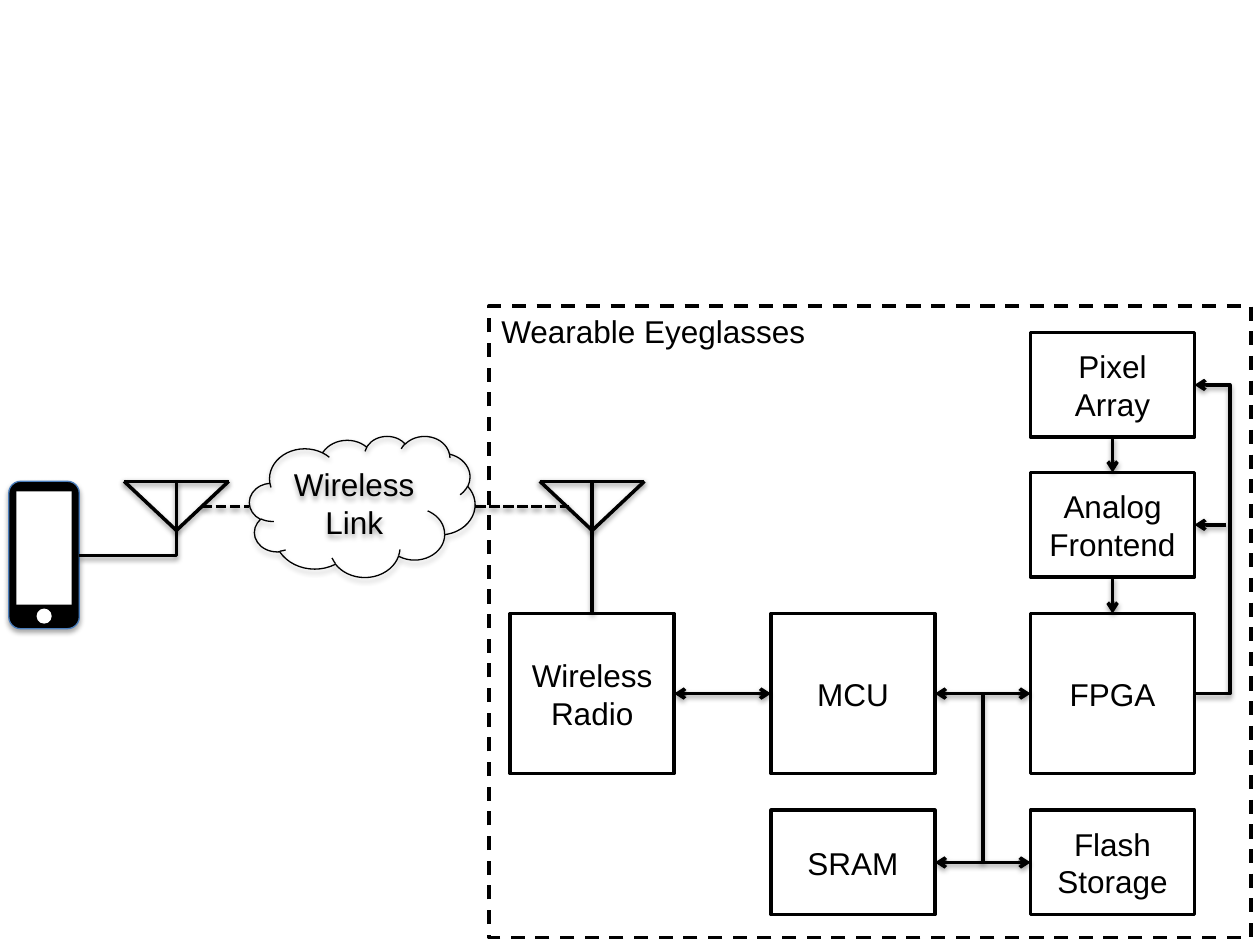
from lxml import etree
from pptx import Presentation, util as u
from pptx.dml.color import RGBColor
from pptx.enum import dml, shapes, text
from pptx.oxml.ns import qn

THEME = {"ink": "000000", "paper": "FFFFFF", "phone_edge": "4B7EBC",
         "font": "Arial", "size": 18, "line": 2, "thin": 0.75}
KIND = shapes.MSO_SHAPE
DASH = dml.MSO_LINE

# Grid: three block columns, five block rows (top, height)
COLUMNS = [4.05, 6.12, 8.18]
BLOCK_WIDTH = 1.3
ROWS = {"pixel": (2.64, 0.83), "analog": (3.75, 0.83),
        "main": (4.87, 1.27), "memory": (6.43, 0.83)}

# Content: column, row, paragraphs
BLOCKS = [
    (0, "main", ["Wireless Radio"]),
    (1, "main", ["MCU"]),
    (2, "main", ["FPGA"]),
    (2, "analog", ["Analog", "Frontend"]),
    (2, "pixel", ["Pixel Array"]),
    (1, "memory", ["SRAM"]),
    (2, "memory", ["Flash Storage"]),
]
ENCLOSURE = (3.88, 2.43, 6.05, 5.01)
CLOUD = (1.98, 3.46, 1.79, 1.12)

presentation = Presentation()
presentation.slide_width, presentation.slide_height = u.Inches(10), u.Inches(7.5)
slide = presentation.slides.add_slide(presentation.slide_layouts[6])


def color(name):
    return RGBColor.from_string(THEME[name])


def add_effects(shape, shadow=None):
    """Shadow is (opacity percent, blur points, distance points), cast downwards."""
    properties = shape._element.spPr
    for old in properties.findall(qn("a:effectLst")):
        properties.remove(old)
    effects = etree.SubElement(properties, qn("a:effectLst"))
    if shadow:
        opacity, blur, distance = shadow
        outer = etree.SubElement(effects, qn("a:outerShdw"), blurRad=str(u.Pt(blur)),
                                 dist=str(u.Pt(distance)), dir="5400000", rotWithShape="0")
        ink = etree.SubElement(outer, qn("a:srgbClr"), val=THEME["ink"])
        etree.SubElement(ink, qn("a:alpha"), val=str(opacity * 1000))


LINE_SHADOW, SHAPE_SHADOW = (38, 3.1, 1.6), (35, 3.1, 1.8)


def set_line(shape, width, dash=None, name="ink"):
    shape.line.color.rgb = color(name)
    shape.line.width = u.Pt(width)
    if dash:
        shape.line.dash_style = dash


def add_box(kind, place, fill="paper", line=None, width=THEME["line"], dash=None,
            shadow=None, paragraphs=(), centred=True):
    shape = slide.shapes.add_shape(kind, *map(u.Inches, place))
    if fill:
        shape.fill.solid()
        shape.fill.fore_color.rgb = color(fill)
    else:
        shape.fill.background()
    if line:
        set_line(shape, width, dash, line)
    else:
        shape.line.fill.background()
    add_effects(shape, shadow)
    frame = shape.text_frame
    frame.word_wrap = True
    frame.vertical_anchor = text.MSO_ANCHOR.MIDDLE if centred else text.MSO_ANCHOR.TOP
    for index, words in enumerate(paragraphs):
        paragraph = frame.add_paragraph() if index else frame.paragraphs[0]
        paragraph.alignment = text.PP_ALIGN.CENTER if centred else text.PP_ALIGN.LEFT
        run = paragraph.add_run()
        run.text = words
        run.font.name, run.font.size = THEME["font"], u.Pt(THEME["size"])
        run.font.color.rgb = color("ink")
    return shape


def add_wire(*points, start=False, end=False, dash=None):
    """Straight connector for two points, open outline for a bent route."""
    route = [(u.Inches(x), u.Inches(y)) for x, y in points]
    if len(route) == 2:
        wire = slide.shapes.add_connector(
            shapes.MSO_CONNECTOR.STRAIGHT, *route[0], *route[1])
    else:
        builder = slide.shapes.build_freeform(*route[0], scale=1.0)
        builder.add_line_segments(route[1:], close=False)
        wire = builder.convert_to_shape()
        wire.fill.background()
    set_line(wire, THEME["line"], dash)
    outline = wire._element.spPr.find(qn("a:ln"))
    for wanted, tag in ((start, "a:headEnd"), (end, "a:tailEnd")):
        if wanted:
            etree.SubElement(outline, qn(tag), type="arrow")
    add_effects(wire, LINE_SHADOW)


def add_antenna(center, top=3.82, half=0.415, tip=4.21):
    left, right = (center - half, top), (center + half, top)
    for start, end in ((left, right), ((center, tip), right), ((center, tip), left)):
        add_wire(start, end)


def middle(row):
    top, height = ROWS[row]
    return top + height / 2


# Enclosure and blocks
add_box(KIND.RECTANGLE, ENCLOSURE, line="ink", dash=DASH.DASH,
        paragraphs=["Wearable Eyeglasses"], centred=False)
for column, row, paragraphs in BLOCKS:
    top, height = ROWS[row]
    add_box(KIND.RECTANGLE, (COLUMNS[column], top, BLOCK_WIDTH, height),
            line="ink", paragraphs=paragraphs)

# Links between neighbouring blocks
right_edges = [left + BLOCK_WIDTH for left in COLUMNS]
main, memory = middle("main"), middle("memory")
for column, y in ((0, main), (1, main), (1, memory)):
    add_wire((right_edges[column], y), (COLUMNS[column + 1], y), start=True, end=True)
sensor_x = COLUMNS[2] + BLOCK_WIDTH / 2
for upper, lower in (("pixel", "analog"), ("analog", "main")):
    add_wire((sensor_x, sum(ROWS[upper])), (sensor_x, ROWS[lower][0]), end=True)

# Memory bus and control feedback
bus_x = (right_edges[1] + COLUMNS[2]) / 2
add_wire((bus_x, main), (bus_x, memory))
feedback_x = 9.76
edge = right_edges[2]
add_wire((edge, middle("pixel")), (feedback_x, middle("pixel")),
         (feedback_x, main), (edge, main), start=True)
add_wire((edge, middle("analog")), (9.73, middle("analog")), start=True)

# Phone
add_box(KIND.ROUNDED_RECTANGLE, (0.07, 3.82, 0.56, 1.17), "ink", "phone_edge",
        THEME["thin"], shadow=SHAPE_SHADOW)
add_box(KIND.RECTANGLE, (0.13, 3.9, 0.44, 0.9))
add_box(KIND.OVAL, (0.29, 4.83, 0.12, 0.12))

# Antennas with their feeds
phone_antenna, radio_antenna = 1.4, COLUMNS[0] + BLOCK_WIDTH / 2
for center in (phone_antenna, radio_antenna):
    add_antenna(center)
add_wire((0.63, 4.41), (phone_antenna, 4.41), (phone_antenna, 3.82))
add_wire((radio_antenna, ROWS["main"][0]), (radio_antenna, 3.82))

# Wireless link
add_box(KIND.CLOUD, CLOUD, None, "ink", THEME["thin"], shadow=SHAPE_SHADOW,
        paragraphs=["Wireless Link"])
for start, end in ((1.6, CLOUD[0]), (CLOUD[0] + CLOUD[2], 4.52)):
    add_wire((start, 4.02), (end, 4.02), dash=DASH.SQUARE_DOT)

presentation.save("out.pptx")
